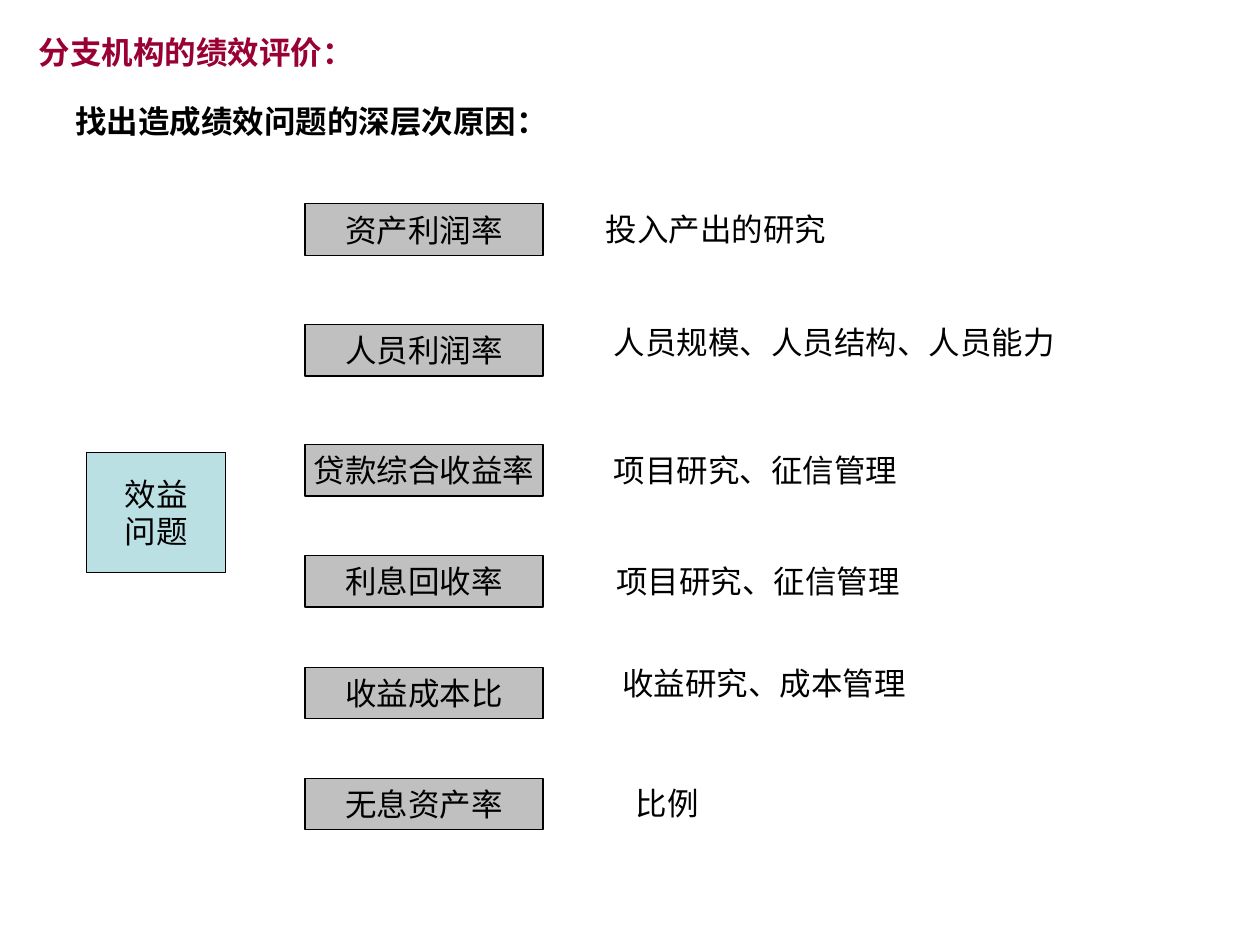
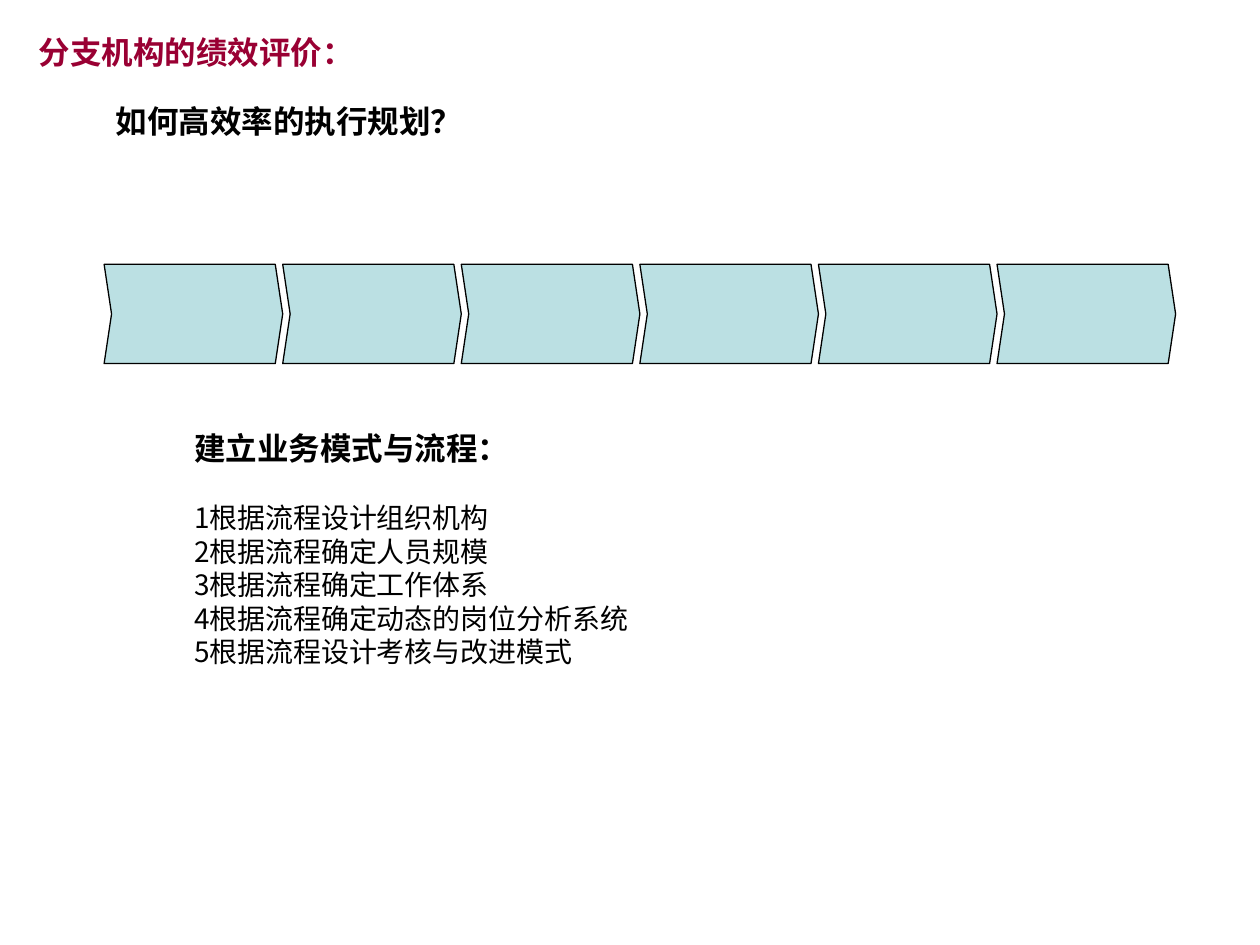
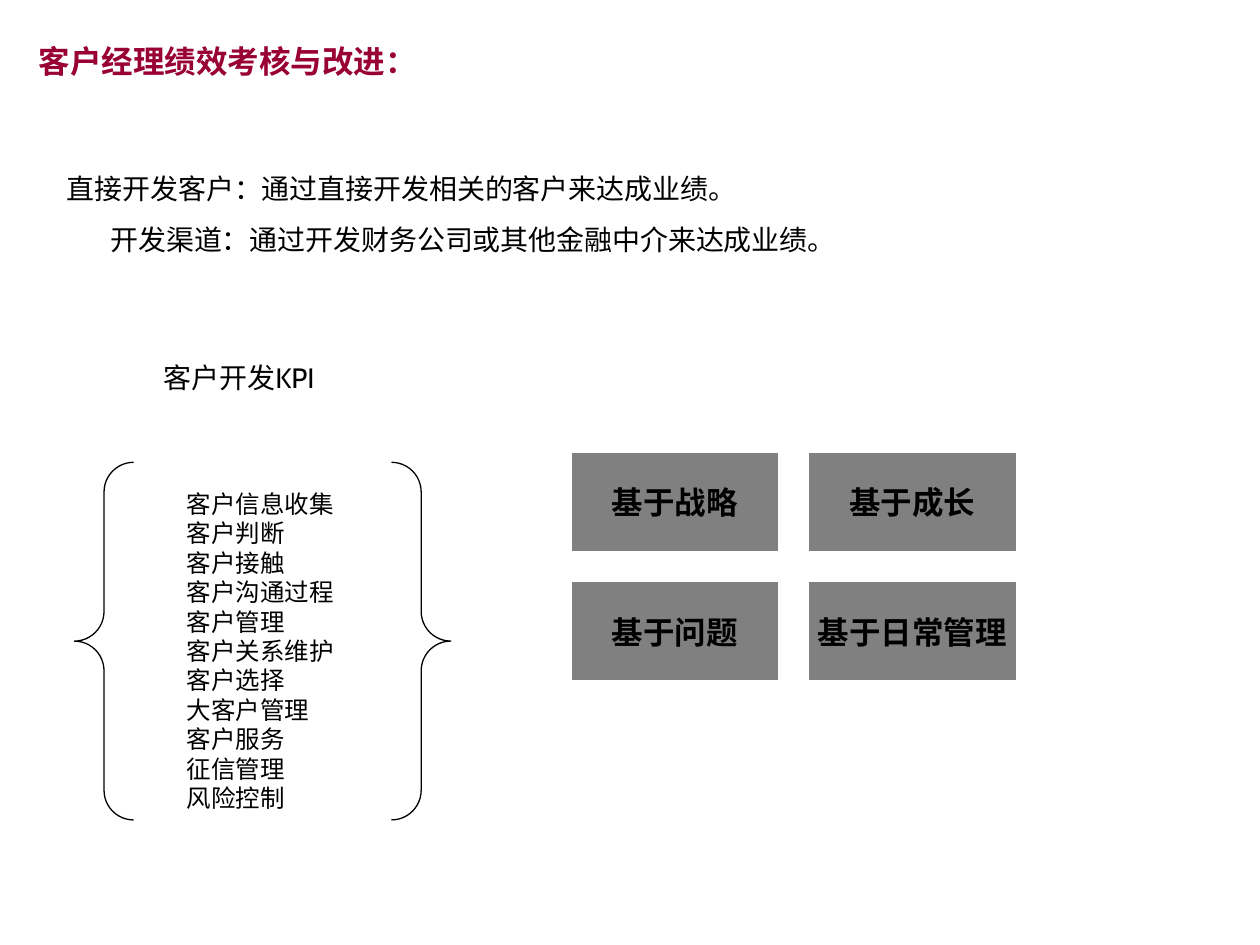
from pptx import Presentation
from pptx.dml.color import RGBColor
from pptx.enum.shapes import MSO_SHAPE
from pptx.enum.text import MSO_ANCHOR, MSO_AUTO_SIZE, PP_ALIGN
from pptx.util import Cm, Pt
from lxml.etree import SubElement
from pptx.oxml.ns import qn

BLACK = RGBColor(0, 0, 0)
WHITE = RGBColor(255, 255, 255)
CRIMSON = RGBColor(0x99, 0x00, 0x33)
PALE_BLUE = RGBColor(0xBB, 0xE0, 0xE3)
SILVER = RGBColor(0xC0, 0xC0, 0xC0)
GRAY = RGBColor(0x80, 0x80, 0x80)

ARIAL = "Arial"
CABIN = "Cabin"
NOTO = "Noto Sans CJK SC"

TITLE_ONLY = 5
TITLE_BODY = 1
TWO_BODIES = 3
EM_18 = 0.635


class Deck:
    def __init__(self):
        self.prs = Presentation()
        self.prs.slide_width = Cm(25.4)
        self.prs.slide_height = Cm(19.05)
        self.slide = None

    def add_slide(self, layout, title, top):
        self.slide = self.prs.slides.add_slide(self.prs.slide_layouts[layout])
        sp = self.slide.shapes.title
        self.place(sp, 0.53, top, len(title) * EM_18 + 0.51, 1.02)
        self.set_text(sp, title, color=CRIMSON, bold=True)

    def place(self, sp, left, top, width, height):
        sp.left, sp.top, sp.width, sp.height = Cm(left), Cm(top), Cm(width), Cm(height)

    def style(self, p, size, font, color=BLACK, bold=False):
        for r in p.runs:
            r.font.size = Pt(size)
            r.font.name = font
            r.font.bold = bold
            r.font.color.rgb = color

    def set_text(self, sp, text, size=18, font=ARIAL, color=BLACK, bold=False,
                 align=PP_ALIGN.LEFT, anchor=MSO_ANCHOR.TOP, wrap=False):
        tf = sp.text_frame
        tf.text = text
        tf.word_wrap = wrap
        tf.auto_size = MSO_AUTO_SIZE.NONE
        tf.vertical_anchor = anchor
        for p in tf.paragraphs:
            p.alignment = align
            self.style(p, size, font, color, bold)

    def text(self, text, left, top, **style):
        em = style.get("size", 18) / 18 * EM_18
        sp = self.slide.shapes.add_textbox(
            Cm(left), Cm(top), Cm(len(text) * em + 0.51), Cm(1.02))
        self.set_text(sp, text, **style)

    def body(self, idx, lines, box, **style):
        sp = self.slide.placeholders[idx]
        self.place(sp, *box)
        self.set_text(sp, "\n".join(lines), **style)
        for p in sp.text_frame.paragraphs:
            pPr = p._p.get_or_add_pPr()
            pPr.set("marL", "0")
            pPr.set("indent", "0")
            p.space_before = Pt(0)
            SubElement(pPr, qn("a:buNone"))
        return sp.text_frame.paragraphs

    def paint(self, sp, fill, line):
        sp.shadow.inherit = False
        if fill is None:
            sp.fill.background()
        else:
            sp.fill.solid()
            sp.fill.fore_color.rgb = fill
        sp.line.color.rgb = line
        sp.line.width = Pt(0.75)

    def box(self, text, left, top, width, height, fill, line=BLACK, **style):
        sp = self.slide.shapes.add_shape(
            MSO_SHAPE.RECTANGLE, Cm(left), Cm(top), Cm(width), Cm(height))
        self.paint(sp, fill, line)
        self.set_text(sp, text, align=PP_ALIGN.CENTER, anchor=MSO_ANCHOR.MIDDLE, **style)

    def braces(self, left, top, width, height):
        sp = self.slide.shapes.add_shape(
            MSO_SHAPE.DOUBLE_BRACE, Cm(left), Cm(top), Cm(width), Cm(height))
        sp.adjustments[0] = 0.083
        self.paint(sp, None, BLACK)

    def chevron(self, left, top, width, height, point):
        right, middle, bottom = left + width, top + height / 2, top + height
        outline = [(right - point, top), (right, middle), (right - point, bottom),
                   (left, bottom), (left + point, middle)]
        builder = self.slide.shapes.build_freeform(Cm(left), Cm(top))
        builder.add_line_segments([(Cm(x), Cm(y)) for x, y in outline])
        self.paint(builder.convert_to_shape(), PALE_BLUE, BLACK)


def add_causes(deck):
    deck.add_slide(TITLE_ONLY, "分支机构的绩效评价：", 0.53)
    deck.text("找出造成绩效问题的深层次原因：", 1.27, 1.93, bold=True)
    deck.box("效益\n问题", 1.75, 9.12, 2.8, 2.42, PALE_BLUE, font=CABIN)
    causes = [
        ("资产利润率", 4.11, "投入产出的研究", 11.96, 4.11),
        ("人员利润率", 6.54, "人员规模、人员结构、人员能力", 12.12, 6.38),
        ("贷款综合收益率", 8.96, "项目研究、征信管理", 12.12, 8.96),
        ("利息回收率", 11.2, "项目研究、征信管理", 12.17, 11.2),
        ("收益成本比", 13.45, "收益研究、成本管理", 12.29, 13.26),
        ("无息资产率", 15.69, "比例", 12.57, 15.69),
    ]
    for ratio, ratio_top, remedy, remedy_left, remedy_top in causes:
        deck.box(ratio, 6.15, ratio_top, 4.8, 1.04, SILVER)
        deck.text(remedy, remedy_left, remedy_top)


def add_execution(deck):
    deck.add_slide(TITLE_BODY, "分支机构的绩效评价：", 0.53)
    deck.text("如何高效率的执行规划？", 2.08, 1.93, bold=True)
    for step in range(6):
        deck.chevron(2.1 + step * 3.6, 5.33, 3.6, 2, 0.15)
    lines = [
        "建立业务模式与流程：",
        "1根据流程设计组织机构",
        "2根据流程确定人员规模",
        "3根据流程确定工作体系",
        "4根据流程确定动态的岗位分析系统",
        "5根据流程设计考核与改进模式",
    ]
    heading, first, *_ = deck.body(1, lines, (3.66, 8.53, 9.37, 5.6),
                                   size=16, font=NOTO, wrap=True)
    deck.style(heading, 18, ARIAL, bold=True)
    first.space_before = Pt(19)


def add_managers(deck):
    deck.add_slide(TWO_BODIES, "客户经理绩效考核与改进：", 0.71)
    ways = [
        "直接开发客户：通过直接开发相关的客户来达成业绩。",
        "开发渠道：通过开发财务公司或其他金融中介来达成业绩。",
    ]
    _, channel = deck.body(1, ways, (1.09, 3.33, 18.59, 1.96),
                           size=16, font=NOTO, wrap=True)
    channel.space_before = Pt(10)
    channel._p.get_or_add_pPr().set("marL", str(Cm(0.88)))
    deck.text("客户开发KPI", 3.05, 7.14, size=16, font=CABIN)
    deck.braces(1.5, 9.32, 7.59, 7.21)
    skills = ["客户信息收集", "客户判断", "客户接触", "客户沟通过程", "客户管理",
              "客户关系维护", "客户选择", "大客户管理", "客户服务", "征信管理", "风险控制"]
    deck.body(2, skills, (3.51, 9.73, 3.48, 6.78), size=14)
    bases = ["基于战略", "基于成长", "基于问题", "基于日常管理"]
    for i, basis in enumerate(bases):
        row, col = divmod(i, 2)
        deck.box(basis, 11.51 + col * 4.79, 9.12 + row * 2.61, 4.19, 2,
                 GRAY, WHITE, bold=True)


def main():
    deck = Deck()
    add_causes(deck)
    add_execution(deck)
    add_managers(deck)
    deck.prs.save("out.pptx")


if __name__ == "__main__":
    main()
